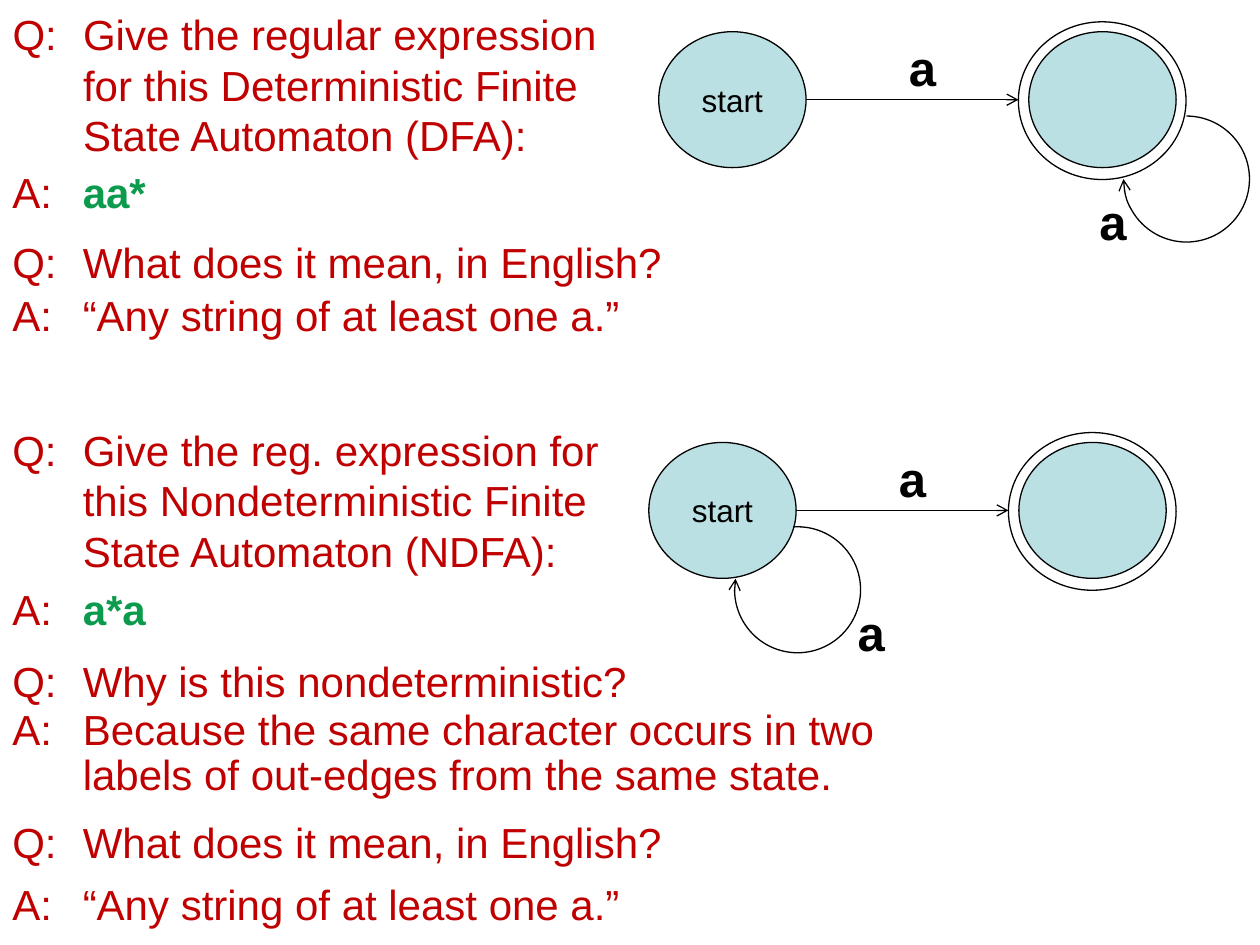
import pptx
import pptx.dml.color
import pptx.enum.shapes
import pptx.enum.text
import pptx.oxml.ns
import pptx.util
from lxml import etree
from pptx.util import Cm, Pt

COLORS = {"text": "C00000", "answer": "0C9B4D", "state": "BBE0E3", "ink": "000000"}
SHAPE = pptx.enum.shapes.MSO_SHAPE
CENTER = pptx.enum.text.PP_ALIGN.CENTER
FONT = "Arial"
INDENT = 1.42
qn = pptx.oxml.ns.qn


def rgb(name):
    """Return the named colour."""
    return pptx.dml.color.RGBColor.from_string(COLORS[name])


def box(x, y, w, h):
    """Return a position and size given in centimetres."""
    return Cm(x), Cm(y), Cm(w), Cm(h)


def add_run(p, text, size, color, bold=False):
    """Add one formatted run to a paragraph."""
    r = p.add_run()
    r.text = text
    r.font.name = FONT
    r.font.size = Pt(size)
    r.font.bold = bold
    r.font.color.rgb = rgb(color)


def style_line(sp, arrow=False):
    """Give a shape or connector a thin line, with an arrowhead if asked."""
    sp.line.color.rgb = rgb("ink")
    sp.line.width = Pt(0.75)
    if arrow:
        ln = sp._element.spPr.find(qn("a:ln"))
        etree.SubElement(ln, qn("a:tailEnd"), type="arrow")


def fill_entry(sp, mark, text, color="text", spacing=1.0):
    """Write a question or answer with a hanging mark."""
    tf = sp.text_frame
    tf.word_wrap = True
    tf.auto_size = pptx.enum.text.MSO_AUTO_SIZE.NONE
    p = tf.paragraphs[0]
    p.line_spacing = spacing
    p.space_before = Pt(0)
    pPr = p._p.get_or_add_pPr()
    pPr.set("marL", str(Cm(INDENT)))
    pPr.set("indent", str(-Cm(INDENT)))
    etree.SubElement(pPr, qn("a:buNone"))
    add_run(p, mark + "\t", 24, "text")
    add_run(p, text, 24, color, color == "answer")


def add_entry(s, y, w, h, *content):
    """Add a text box holding one question or answer."""
    fill_entry(s.shapes.add_textbox(*box(0, y, w, h)), *content)


def add_label(s, x, y, w, h):
    """Add the bold label of an edge."""
    sp = s.shapes.add_textbox(*box(x, y, w, h))
    sp.text_frame.word_wrap = True
    p = sp.text_frame.paragraphs[0]
    p.alignment = CENTER
    add_run(p, "a", 28, "ink", True)


def add_ellipse(s, x, y, w, h, filled=True, text=""):
    """Add a state circle or the outer ring of an accepting state."""
    sp = s.shapes.add_shape(SHAPE.OVAL, *box(x, y, w, h))
    sp.shadow.inherit = False
    if filled:
        sp.fill.solid()
        sp.fill.fore_color.rgb = rgb("state")
    else:
        sp.fill.background()
    style_line(sp)
    if text:
        tf = sp.text_frame
        tf.margin_left = tf.margin_right = tf.margin_top = tf.margin_bottom = 0
        tf.vertical_anchor = pptx.enum.text.MSO_ANCHOR.MIDDLE
        tf.paragraphs[0].alignment = CENTER
        add_run(tf.paragraphs[0], text, 18, "ink")


def add_loop(s, x, y, start, end):
    """Add a circular arrow between two angles in degrees."""
    sp = s.shapes.add_shape(SHAPE.ARC, *box(x, y, 2.54, 2.54))
    sp.shadow.inherit = False
    sp.fill.background()
    sp.adjustments[0] = start * 0.6
    sp.adjustments[1] = end * 0.6
    style_line(sp, arrow=True)


def add_edge(s, x1, x2, y):
    """Add a straight horizontal arrow."""
    sp = s.shapes.add_connector(
        pptx.enum.shapes.MSO_CONNECTOR.STRAIGHT, Cm(x1), Cm(y), Cm(x2), Cm(y))
    style_line(sp, arrow=True)
    etree.SubElement(sp._element.spPr, qn("a:effectLst"))


def add_automaton(s, x, y, loop_dx, label_dx, angles):
    """Add a start state, an accepting state and a looping edge."""
    add_ellipse(s, x, y, 2.97, 2.74, text="start")
    add_ellipse(s, x + 7.46, y, 2.97, 2.74)
    add_ellipse(s, x + 7.25, y - 0.2, 3.38, 3.18, filled=False)
    add_edge(s, x + 2.97, x + 7.25, y + 1.37)
    add_label(s, x + 3.18, y, 4.27, 1.47)
    add_loop(s, x + loop_dx, y + 1.7, *angles)
    add_label(s, x + label_dx, y + 3.1, 4.65, 1.27)


def main():
    """Build the slide and save it."""
    prs = pptx.Presentation()
    prs.slide_width, prs.slide_height = Cm(25.4), Cm(19.05)
    s = prs.slides.add_slide(prs.slide_layouts[1])
    title = s.shapes.title._element
    title.getparent().remove(title)
    body = s.placeholders[1]
    body.left, body.top, body.width, body.height = box(0, 0.05, 12.5, 3.45)
    fill_entry(body, "Q:", "Give the regular expression for this "
               "Deterministic Finite State Automaton (DFA):")

    add_automaton(s, 13.28, 0.64, 9.37, 6.83, (270, 180))
    add_automaton(s, 13.08, 8.92, 1.73, 2.16, (265.87, 190.12))

    meaning = "What does it mean, in English?"
    string = "“Any string of at least one a.”"
    add_entry(s, 3.23, 12.27, 1.45, "A:", "aa*", "answer")
    add_entry(s, 4.65, 16.3, 1.45, "Q:", meaning)
    add_entry(s, 5.72, 16.3, 1.45, "A:", string)
    add_entry(s, 8.43, 12.88, 3.45, "Q:", "Give the reg. expression for this "
              "Nondeterministic Finite State Automaton (NDFA):")
    add_entry(s, 11.63, 12.27, 1.45, "A:", "a*a", "answer")
    add_entry(s, 13.08, 16.3, 1.45, "Q:", "Why is this nondeterministic?")
    add_entry(s, 14.17, 18.42, 1.45, "A:", "Because the same character occurs in "
              "two labels of out-edges from the same state.", "text", 0.9)
    add_entry(s, 16.33, 16.3, 1.45, "Q:", meaning)
    add_entry(s, 17.58, 16.3, 1.45, "A:", string)
    prs.save("out.pptx")


if __name__ == "__main__":
    main()
